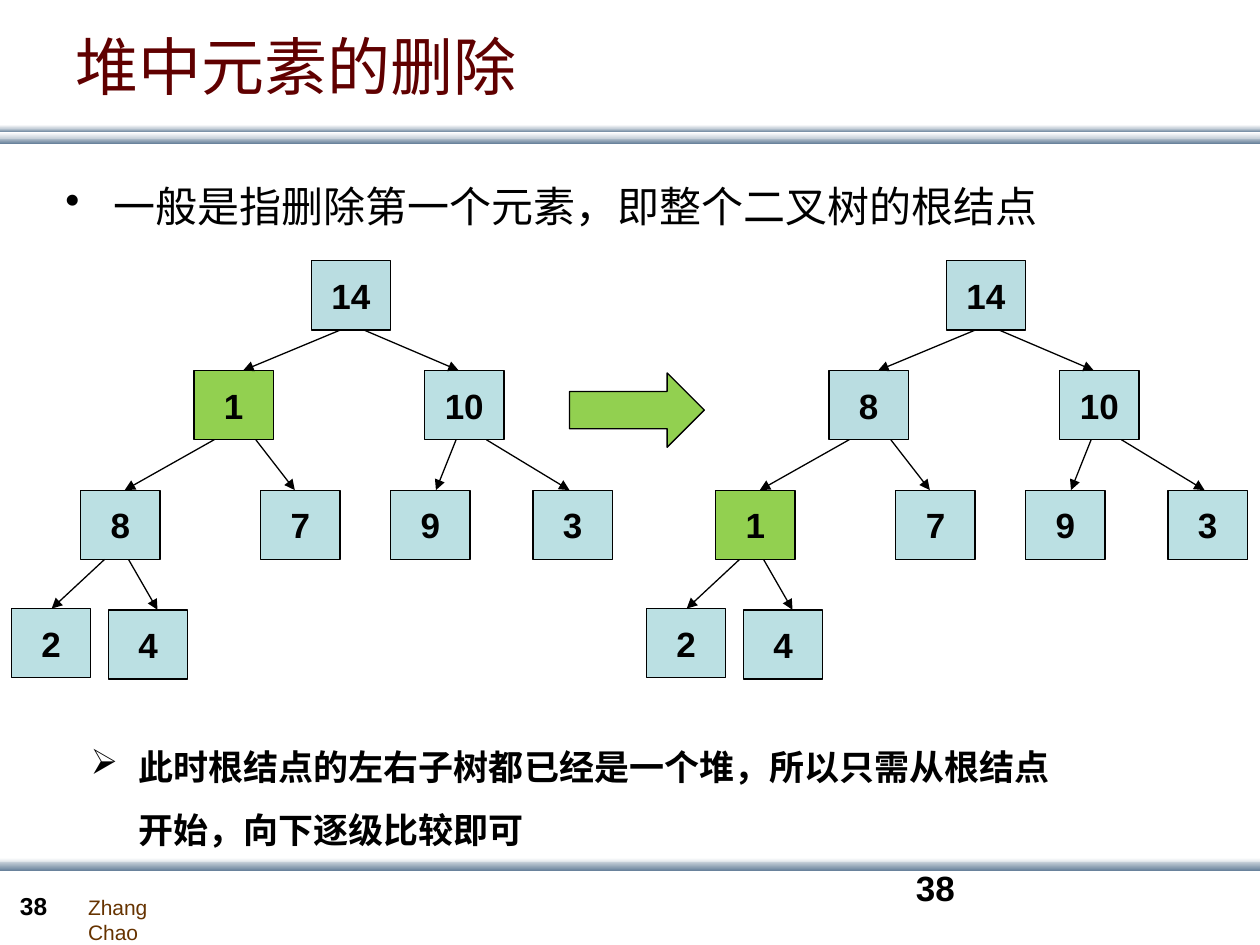
from lxml import etree
from pptx import Presentation
from pptx.dml.color import RGBColor
from pptx.enum.shapes import MSO_CONNECTOR, MSO_SHAPE
from pptx.enum.text import MSO_ANCHOR, PP_ALIGN
from pptx.oxml.ns import qn
from pptx.util import Inches, Pt

RECTANGLE, RIGHT_ARROW = MSO_SHAPE.RECTANGLE, MSO_SHAPE.RIGHT_ARROW
STRAIGHT = MSO_CONNECTOR.STRAIGHT
TOP, MIDDLE = MSO_ANCHOR.TOP, MSO_ANCHOR.MIDDLE
LEFT, CENTER = PP_ALIGN.LEFT, PP_ALIGN.CENTER
LATIN, CHINESE = "Arial", "Noto Sans CJK SC"
COLORS = {
    "text": "000000", "title": "600000", "author": "663300",
    "white": "FFFFFF", "pale": "C8D1DA", "steel": "6A839C",
    "node": "BBE0E3", "settled": "BADDE1", "moving": "92D050",
}

deck = Presentation()
deck.slide_width, deck.slide_height = Inches(10), Inches(7.5)
slide = deck.slides.add_slide(deck.slide_layouts[6])

# The slide is a grid of 100 columns and 75 rows of equal size
CELL = deck.slide_width / 100


def place(*cells):
    return [round(cell * CELL) for cell in cells]


def write(box, text, size, color="text", font=LATIN, bold=False, wrap=True,
          anchor=TOP, align=LEFT, bullet=None, spacing=None):
    frame = box.text_frame
    frame.word_wrap = wrap
    frame.vertical_anchor = anchor
    para = frame.paragraphs[0]
    para.text = text
    para.alignment = align
    para.line_spacing = spacing
    properties = para._p.get_or_add_pPr()
    if bullet:
        indent = place(3.8)[0]
        properties.set("marL", str(indent))
        properties.set("indent", str(-indent))
        etree.SubElement(properties, qn("a:buChar")).set("char", bullet)
    para.font.size = Pt(size)
    para.font.bold = bold
    para.font.color.rgb = RGBColor.from_string(COLORS[color])
    para.font.name = font
    east_asian = etree.SubElement(properties.find(qn("a:defRPr")), qn("a:ea"))
    east_asian.set("typeface", font)


# Gradient bands under the title and above the footer: top, height, colours
bands = [
    (10.9, 0.5, "pale", "steel"), (10.2, 0.3, "pale", "steel"),
    (10.5, 0.5, "white", "pale"), (9.9, 0.3, "white", "pale"),
    (68.1, 0.5, "white", "pale"), (68.4, 0.7, "pale", "steel"),
]
for top, height, *shades in bands:
    band = slide.shapes.add_shape(RECTANGLE, *place(0, top, 100, height))
    band.shadow.inherit = False
    band.line.fill.background()
    band.fill.gradient()
    band.fill.gradient_angle = 270
    for stop, shade in zip(band.fill.gradient_stops, shades):
        stop.color.rgb = RGBColor.from_string(COLORS[shade])

# Footer, title and body text
texts = [
    ((6, 70.5, 11.1, 3), "Zhang Chao", 12, dict(color="author", wrap=False)),
    ((0.6, 70.2, 5.5, 3.4), "38", 14, dict(bold=True)),
    ((71.7, 68.3, 23.3, 5), "38", 20, dict(bold=True)),
    ((4.2, 13.8, 90.7, 50.4), "一般是指删除第一个元素，即整个二叉树的根结点", 24,
     dict(font=CHINESE, bullet="•")),
    ((5, -1.1, 90, 12.5), "堆中元素的删除", 36,
     dict(color="title", font=CHINESE, anchor=MIDDLE)),
    ((6.2, 57, 80.1, 11),
     "此时根结点的左右子树都已经是一个堆，所以只需从根结点开始，向下逐级比较即可",
     20, dict(font=CHINESE, bold=True, bullet="➢", spacing=1.5)),
]
for area, text, size, style in texts:
    write(slide.shapes.add_textbox(*place(*area)), text, size, **style)

# Arrow from the heap before the step to the heap after it
step = slide.shapes.add_shape(RIGHT_ARROW, *place(45.2, 29.6, 10.7, 5.9))
step.shadow.inherit = False
step.fill.solid()
step.fill.fore_color.rgb = RGBColor.from_string(COLORS["moving"])
step.line.color.rgb = RGBColor.from_string(COLORS["text"])
step.line.width = Pt(0.75)

# Heaps: nodes in level order, edges as parent, child, start and end column
NODE_WIDTH, NODE_HEIGHT = 6.3, 5.5
corners = [
    (24.7, 20.7), (15.4, 29.4), (33.7, 29.4),
    (6.4, 38.9), (20.7, 38.9), (31, 38.9), (42.3, 38.9),
    (0.9, 48.3), (8.6, 48.4),
]
edges = [
    (0, 1, 27, 19.3), (0, 2, 28.9, 36.4), (1, 3, 17, 9.9), (1, 4, 20.3, 23.4),
    (2, 5, 36.2, 34.6), (2, 6, 38.6, 45.2), (3, 7, 8.3, 4.1), (3, 8, 10.2, 12.5),
]
heaps = [
    (50.4, [14, 8, 10, 1, 7, 9, 3, 2, 4], {0: "settled", 1: "settled", 3: "moving"}),
    (0, [14, 1, 10, 8, 7, 9, 3, 2, 4], {0: "settled", 1: "moving"}),
]
for shift, values, highlights in heaps:
    heap = slide.shapes.add_group_shape()
    for index, (value, (left, top)) in enumerate(zip(values, corners)):
        node = heap.shapes.add_shape(
            RECTANGLE, *place(left + shift, top, NODE_WIDTH, NODE_HEIGHT))
        node.shadow.inherit = False
        node.fill.solid()
        node.fill.fore_color.rgb = RGBColor.from_string(
            COLORS[highlights.get(index, "node")])
        node.line.color.rgb = RGBColor.from_string(COLORS["text"])
        node.line.width = Pt(0.75)
        write(node, str(value), 20, bold=True, wrap=False, anchor=MIDDLE, align=CENTER)
    for parent, child, start, end in edges:
        edge = heap.shapes.add_connector(STRAIGHT, *place(
            start + shift, corners[parent][1] + NODE_HEIGHT,
            end + shift, corners[child][1]))
        edge.line.color.rgb = RGBColor.from_string(COLORS["text"])
        edge.line.width = Pt(0.75)
        properties = edge.element.spPr
        tail = etree.SubElement(properties.find(qn("a:ln")), qn("a:tailEnd"))
        tail.set("type", "triangle")
        etree.SubElement(properties, qn("a:effectLst"))

deck.save("out.pptx")
